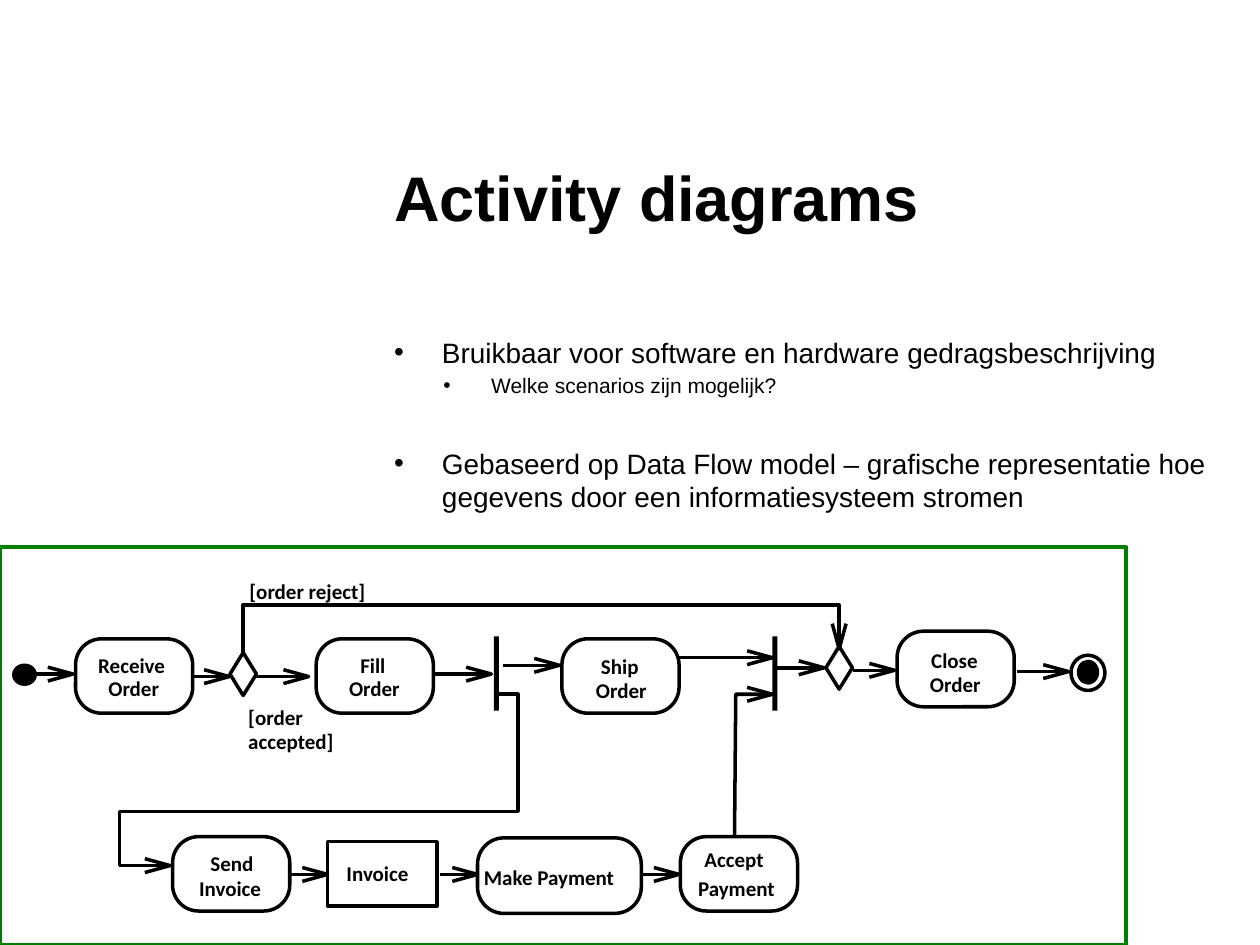
from lxml.etree import SubElement
from pptx import Presentation
from pptx.dml.color import RGBColor
from pptx.enum.shapes import MSO_CONNECTOR, MSO_SHAPE
from pptx.enum.text import MSO_ANCHOR, MSO_AUTO_SIZE
from pptx.oxml.ns import qn
from pptx.util import Inches, Pt

# Grid of 100 columns by 75 rows: every cell is a 0.1 inch square
COLS, ROWS = 100, 75
SLIDE_W, SLIDE_H = Inches(10), Inches(7.5)

THEME = {
    "ink": RGBColor(0, 0, 0),
    "frame": RGBColor(0, 0x80, 0),
    "line": Pt(2),
    "frame_line": Pt(2.25),
    "title": {"name": "Arial", "size": Pt(36), "bold": True},
    "body": [{"name": "Arial", "size": Pt(16)}, {"name": "Arial", "size": Pt(12)}],
    "label": {"name": "Calibri", "size": Pt(12), "bold": True},
}
HEAD_LEN, HEAD_HALF = 2, 0.55
NODE_W, NODE_H = 9.3, 5.9
TOP, BOTTOM = 50.7, 66.4

# Bullets: level, text, space before in points
BULLETS = [
    (0, "Bruikbaar voor software en hardware gedragsbeschrijving", 0),
    (1, "Welke scenarios zijn mogelijk?", 2.4),
    (0, "Gebaseerd op Data Flow model – grafische representatie hoe "
        "gegevens door een informatiesysteem stromen", 27.5),
]

# Rounded action nodes: left, top, width, height
NODES = [
    (6, TOP, NODE_W, NODE_H), (25.1, TOP, NODE_W, NODE_H),
    (44.6, TOP, NODE_W, NODE_H), (71.2, 50.1, NODE_W, 6),
    (13.7, BOTTOM, NODE_W, NODE_H), (37.9, 66.5, 13, 6),
    (54, BOTTOM, NODE_W, NODE_H),
]

# Text lines: text, left, top, width
LABELS = [
    ("Receive", 7.8, 51.8, 6.3), ("Order", 8.6, 53.6, 4.5),
    ("Fill", 28.6, 51.8, 2.4), ("Order", 27.7, 53.6, 4.5),
    ("Ship", 47.7, 51.9, 3.6), ("Order", 47.3, 53.8, 4.5),
    ("Close", 73.9, 51.4, 4.5), ("Order", 73.8, 53.3, 4.5),
    ("Send", 16.7, 67.5, 4.1), ("Invoice", 15.8, 69.5, 5.7),
    ("Invoice", 27.5, 68.3, 5.7), ("Make Payment", 38.4, 68.6, 11.5),
    ("Accept", 55.9, 67.2, 5.5), ("Payment", 55.4, 69.5, 6.9),
    ("[order", 19.7, 55.9, 4.8), ("accepted]", 19.7, 57.8, 7.8),
    ("[order reject]", 19.8, 45.9, 10.3),
]

# Straight flows: start column, end column, row
FLOWS = [
    (2.7, 5.8, 53.5), (15.3, 18.2, 53.7), (20.3, 24.5, 53.7),
    (34.5, 39, 53.5), (39.9, 44.4, 52.8), (53.8, 61.3, 52.2),
    (61.7, 65.4, 53), (67.7, 71, 53.2), (80.7, 84.8, 53.3),
    (23.1, 26, 69.4), (34.9, 37.9, 69.4), (51, 53.9, 69.4),
]

# Bent flows: corner points, the last one is the arrow tip
BENT_FLOWS = [
    [(19.3, 51.8), (19.3, 48), (66.6, 48), (66.6, 51.5)],
    [(39.6, 55.1), (41.1, 55.1), (41.1, 64.4), (9.5, 64.4), (9.5, 68.7), (13.5, 68.7)],
    [(58.3, 66.3), (58.4, 55.1), (61.3, 55.1)],
]


def col(n):
    return round(SLIDE_W * n / COLS)


def row(n):
    return round(SLIDE_H * n / ROWS)


def box(x, y, w, h):
    return col(x), row(y), col(w), row(h)


def format_font(r, values):
    for name, value in values.items():
        setattr(r.font, name, value)
    r.font.color.rgb = THEME["ink"]


def style(sp, fill=None, color=THEME["ink"], width=THEME["line"]):
    sp.shadow.inherit = False
    if fill is None:
        sp.fill.background()
    else:
        sp.fill.solid()
        sp.fill.fore_color.rgb = fill
    if width:
        sp.line.color.rgb = color
        sp.line.width = width
    else:
        sp.line.fill.background()


def shape(s, kind, area, **look):
    sp = s.shapes.add_shape(kind, *box(*area))
    style(sp, **look)
    return sp


def polyline(s, points, close=False):
    pts = [(col(x), row(y)) for x, y in points]
    builder = s.shapes.build_freeform(*pts[0])
    builder.add_line_segments(pts[1:], close=close)
    style(builder.convert_to_shape())


def straight(s, start, end):
    cn = s.shapes.add_connector(MSO_CONNECTOR.STRAIGHT, col(start[0]), row(start[1]),
                                col(end[0]), row(end[1]))
    cn.line.color.rgb = THEME["ink"]
    cn.line.width = THEME["line"]
    SubElement(cn._element.spPr, qn("a:effectLst"))


def arrow(s, points):
    """Flow line with an open head; its last leg runs right or down."""
    if len(points) == 2:
        straight(s, *points)
    else:
        polyline(s, points)
    (x0, _), (x, y) = points[-2:]
    if x0 == x:
        wings = [(x + side * HEAD_HALF, y - HEAD_LEN) for side in (-1, 1)]
    else:
        wings = [(x - HEAD_LEN, y + side * HEAD_HALF) for side in (-1, 1)]
    polyline(s, [wings[0], (x, y), wings[1]])


def diamond(s, cx, cy):
    polyline(s, [(cx, cy - 1.7), (cx - 1.05, cy), (cx, cy + 1.7), (cx + 1.05, cy)], close=True)


def label(s, text, x, y, w):
    tf = s.shapes.add_textbox(*box(x, y, w, 2)).text_frame
    for side in ("left", "top", "right", "bottom"):
        setattr(tf, f"margin_{side}", 0)
    tf.word_wrap = False
    tf.auto_size = MSO_AUTO_SIZE.SHAPE_TO_FIT_TEXT
    r = tf.paragraphs[0].add_run()
    r.text = text
    format_font(r, THEME["label"])


def title(s, text):
    tf = s.shapes.add_textbox(*box(30.3, 12, 66.7, 7.1)).text_frame
    tf.word_wrap = True
    tf.vertical_anchor = MSO_ANCHOR.MIDDLE
    r = tf.paragraphs[0].add_run()
    r.text = text
    format_font(r, THEME["title"])


def bullets(s, items):
    tf = s.shapes.add_textbox(*box(30.3, 26.1, 66.7, 43.2)).text_frame
    tf.word_wrap = True
    for i, (level, text, gap) in enumerate(items):
        p = tf.add_paragraph() if i else tf.paragraphs[0]
        p.level = level
        pPr = p._p.get_or_add_pPr()
        pPr.set("marL", str(col(3.8 + 3.9 * level)))
        pPr.set("indent", str(-col(3.8)))
        SubElement(pPr, qn("a:buFont"), typeface="Arial")
        SubElement(pPr, qn("a:buChar"), char="•")
        if gap:
            p.space_before = Pt(gap)
        r = p.add_run()
        r.text = text
        format_font(r, THEME["body"][level])


def diagram(s):
    ink = THEME["ink"]
    # Actions and the invoice object
    for area in NODES:
        shape(s, MSO_SHAPE.ROUNDED_RECTANGLE, area).adjustments[0] = 0.35
    shape(s, MSO_SHAPE.RECTANGLE, (26, 66.8, 8.7, 5.1))
    # Start and end
    shape(s, MSO_SHAPE.OVAL, (1.1, 52.8, 1.7, 1.5), fill=ink)
    shape(s, MSO_SHAPE.OVAL, (85.6, 52.5, 1.5, 1.7), fill=ink)
    shape(s, MSO_SHAPE.OVAL, (85, 52, 2.7, 2.8))
    # Fork and join bars
    for x in (39.2, 61.3):
        shape(s, MSO_SHAPE.RECTANGLE, (x, 50.5, 0.4, 5.9), fill=ink, width=None)
    # Decision and merge
    diamond(s, 19.3, 53.5)
    diamond(s, 66.6, 53)
    # Flows
    for x0, x1, y in FLOWS:
        arrow(s, [(x0, y), (x1, y)])
    for points in BENT_FLOWS:
        arrow(s, points)
    # Names and guards
    for item in LABELS:
        label(s, *item)
    # Frame
    shape(s, MSO_SHAPE.RECTANGLE, (0, 43.4, 89.4, 31.6),
          color=THEME["frame"], width=THEME["frame_line"])


def main():
    prs = Presentation()
    prs.slide_width, prs.slide_height = SLIDE_W, SLIDE_H
    s = prs.slides.add_slide(prs.slide_layouts[6])
    title(s, "Activity diagrams")
    bullets(s, BULLETS)
    diagram(s)
    prs.save("out.pptx")


if __name__ == "__main__":
    main()
